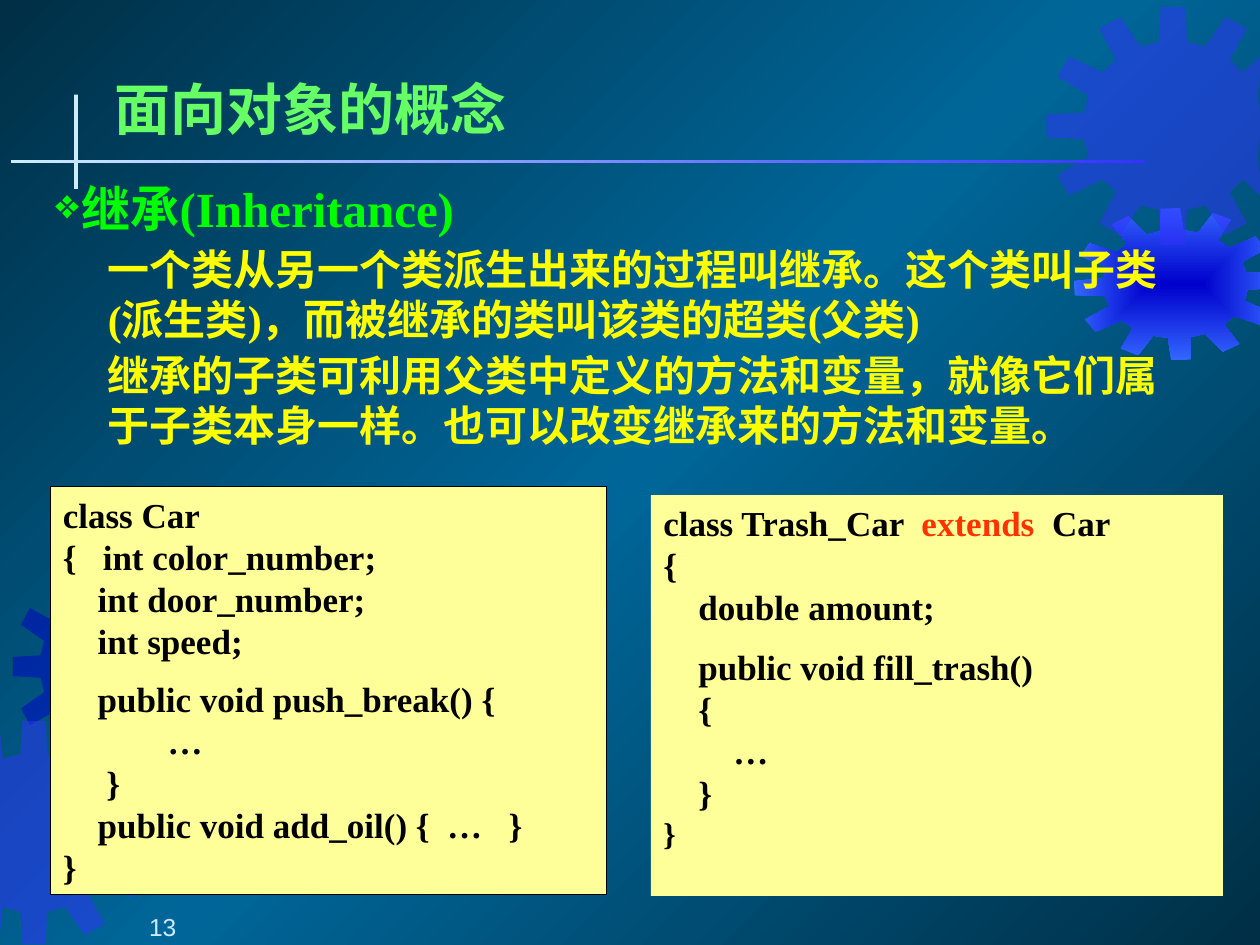
from dataclasses import dataclass
from math import cos, radians, sin
from typing import Optional

from lxml.etree import SubElement
from pptx import Presentation
from pptx.dml.color import RGBColor
from pptx.enum.shapes import MSO_SHAPE as Preset
from pptx.enum.text import MSO_ANCHOR as Anchor, PP_ALIGN as Align
from pptx.oxml.ns import qn
from pptx.util import Pt

COLORS = {
    "night": "002F46", "ocean": "006699", "navy": "0000CC", "blue": "3333FF",
    "sky": "3366FF", "ice": "CCECFF", "paper": "FFFF99", "black": "000000",
    "red": "FF3300", "mint": "66FF66", "green": "00FF00", "yellow": "FFFF00",
}
SERIF, SANS, HAN = "Times New Roman", "Arial", "Noto Sans CJK SC"
SLIDE_WIDTH, SLIDE_HEIGHT = 720, 540
TEETH = 12
# Corners of one tooth: degrees from its middle, share of the outer radius
TOOTH = [(-9, 0.71), (-5.5, 1), (5.5, 1), (9, 0.71)]


@dataclass
class Gear:
    center_x: float
    center_y: float
    radius_x: float
    radius_y: float
    color: str
    turn: float = 0
    rim: Optional[str] = None  # outer colour; without it the gear is half clear
    clipped: bool = True  # cut off at the slide's left and right edges


@dataclass
class Box:
    left: float
    top: float
    width: float
    height: float


@dataclass
class Line:
    runs: list  # (text, colour) pairs
    size: float = 20
    before: float = 0


GEARS = [
    Gear(60.8, 380.9, 53.6, 57.6, "navy"),
    Gear(19.4, 475.9, 69.8, 64.1, "blue"),
    Gear(671.8, 162.4, 58.3, 43.6, "navy", turn=-3, rim="sky", clipped=False),
    Gear(670.3, 72, 72.7, 68.4, "blue"),
]


def code(text: str, **options) -> Line:
    return Line([(text, "black")], **options)


CAR = [
    code("class Car"),
    code("{   int color_number;"),
    code("    int door_number;"),
    code("    int speed;"),
    code("    public void push_break() {", before=9.5),
    code("            …"),
    code("     }"),
    code("    public void add_oil() {  …   }"),
    code("}"),
]
TRASH_CAR = [
    Line([("class Trash_Car ", "black"), (" extends  ", "red"), ("Car", "black")]),
    code("{"),
    code("    double amount;"),
    code("    public void fill_trash()", before=10.5),
    code("    {"),
    code("        …"),
    code("    }"),
    code("}", size=18),
]
BODY = [
    Line([("继承(Inheritance)", "green")], size=28),
    Line([("一个类从另一个类派生出来的过程叫继承。这个类叫子类(派生类)，"
           "而被继承的类叫该类的超类(父类)", "yellow")], size=24, before=3),
    Line([("继承的子类可利用父类中定义的方法和变量，就像它们属于子类本身一样。"
           "也可以改变继承来的方法和变量。", "yellow")], size=24, before=3),
]


def rgb(name: str) -> RGBColor:
    return RGBColor.from_string(COLORS[name])


def set_gradient(parent, stops, angle: Optional[int] = None) -> None:
    """Replace the parent's solid fill; without an angle it spreads from the centre."""
    solid = parent.find(qn("a:solidFill"))
    gradient = parent.makeelement(qn("a:gradFill"), {"rotWithShape": "1"})
    stop_list = SubElement(gradient, qn("a:gsLst"))
    for position, name in stops:
        stop = SubElement(stop_list, qn("a:gs"), pos=str(position * 1000))
        SubElement(stop, qn("a:srgbClr"), val=COLORS[name])
    if angle is None:
        center = SubElement(gradient, qn("a:path"), {"path": "rect"})
        SubElement(center, qn("a:fillToRect"), dict.fromkeys("ltrb", "50000"))
    else:
        SubElement(gradient, qn("a:lin"), ang=str(angle * 60000), scaled="0")
    parent.replace(solid, gradient)


def paint(shape, color: str) -> None:
    shape.shadow.inherit = False
    shape.fill.solid()
    shape.fill.fore_color.rgb = rgb(color)
    shape.line.fill.background()


def gear_outline(gear: Gear) -> list:
    """Return the corners of all teeth in hundredths of a point."""
    corners = []
    for tooth in range(TEETH):
        for offset, share in TOOTH:
            angle = radians(tooth * 360 / TEETH + gear.turn + offset)
            x = gear.center_x + gear.radius_x * share * sin(angle)
            y = gear.center_y - gear.radius_y * share * cos(angle)
            if gear.clipped:
                x = min(max(x, 0), SLIDE_WIDTH)
            corners.append((round(x * 100), round(y * 100)))
    return corners


def draw_gear(slide, gear: Gear) -> None:
    start, *corners = gear_outline(gear)
    builder = slide.shapes.build_freeform(*start, scale=Pt(0.01))
    builder.add_line_segments(corners, close=True)
    shape = builder.convert_to_shape()
    paint(shape, gear.color)
    properties = shape._element.spPr
    if gear.rim:
        set_gradient(properties, [(0, gear.color), (100, gear.rim)])
    else:
        color = properties.find(qn("a:solidFill")).find(qn("a:srgbClr"))
        SubElement(color, qn("a:alpha"), val="50000")


def draw_bar(slide, box: Box, color: str):
    shape = slide.shapes.add_shape(
        Preset.RECTANGLE, Pt(box.left), Pt(box.top), Pt(box.width), Pt(box.height))
    paint(shape, color)
    return shape


def add_text(slide, box: Box, lines, *, font=SERIF, bold=True, align=Align.LEFT,
             anchor=Anchor.TOP, insets=(7.2, 3.6, 7.2, 3.6), fill=None):
    """Write lines in a text box, or in a filled rectangle when a fill is named."""
    if fill:
        shape = draw_bar(slide, box, fill)
    else:
        shape = slide.shapes.add_textbox(
            Pt(box.left), Pt(box.top), Pt(box.width), Pt(box.height))
    frame = shape.text_frame
    frame.word_wrap = True
    frame.vertical_anchor = anchor
    frame.margin_left, frame.margin_top, frame.margin_right, frame.margin_bottom = map(
        Pt, insets)
    for index, line in enumerate(lines):
        paragraph = frame.add_paragraph() if index else frame.paragraphs[0]
        paragraph.alignment = align
        if line.before:
            paragraph.space_before = Pt(line.before)
        for text, color in line.runs:
            run = paragraph.add_run()
            run.text = text
            run.font.name = font
            run.font.size = Pt(line.size)
            run.font.bold = bold
            run.font.color.rgb = rgb(color)
            SubElement(run.font._element, qn("a:ea"), typeface=HAN)
    return shape


def indent(paragraph, left: float, first: float = 0, bullet: str = "") -> None:
    properties = paragraph._p.get_or_add_pPr()
    properties.set("marL", str(Pt(left)))
    properties.set("indent", str(Pt(first)))
    if bullet:
        color = SubElement(properties, qn("a:buClr"))
        SubElement(color, qn("a:srgbClr"), val=COLORS["green"])
        SubElement(properties, qn("a:buSzPct"), val="85000")
        SubElement(properties, qn("a:buChar"), char=bullet)


def main() -> None:
    presentation = Presentation()
    presentation.slide_width, presentation.slide_height = Pt(SLIDE_WIDTH), Pt(SLIDE_HEIGHT)
    slide = presentation.slides.add_slide(presentation.slide_layouts[6])
    slide.background.fill.solid()
    set_gradient(slide._element.find(".//" + qn("p:bgPr")),
                 [(0, "night"), (50, "ocean"), (100, "night")], 225)

    for gear in GEARS:
        draw_gear(slide, gear)
    draw_bar(slide, Box(42.4, 54, 2.2, 54), "ice")
    rule = draw_bar(slide, Box(6.5, 91.4, 648, 1.5), "blue")
    set_gradient(rule._element.spPr, [(0, "blue"), (100, "ice")], 180)

    car = add_text(slide, Box(28.8, 278.2, 318, 233), CAR, fill="paper")
    car.line.color.rgb = rgb("black")
    car.line.width = Pt(0.75)
    add_text(slide, Box(372, 282.9, 326.9, 229), TRASH_CAR, fill="paper")

    add_text(slide, Box(62.6, 38.9, 636.5, 45.4), [Line([("面向对象的概念", "mint")], 32)],
             font=HAN, anchor=Anchor.MIDDLE, insets=(2.9, 3.6, 2.9, 3.6))
    body = add_text(slide, Box(28.8, 99.4, 651.6, 160.6), BODY, insets=(2.9,) * 4)
    heading, *details = body.text_frame.paragraphs
    indent(heading, 15, -15, "❖")
    for paragraph in details:
        indent(paragraph, 30)
    add_text(slide, Box(0, 507.6, 149.8, 30.2), [Line([("13", "ice")], 14)], font=SANS,
             bold=False, align=Align.CENTER, anchor=Anchor.BOTTOM, insets=(43.2, 0, 7.2, 0))
    presentation.save("out.pptx")


if __name__ == "__main__":
    main()
